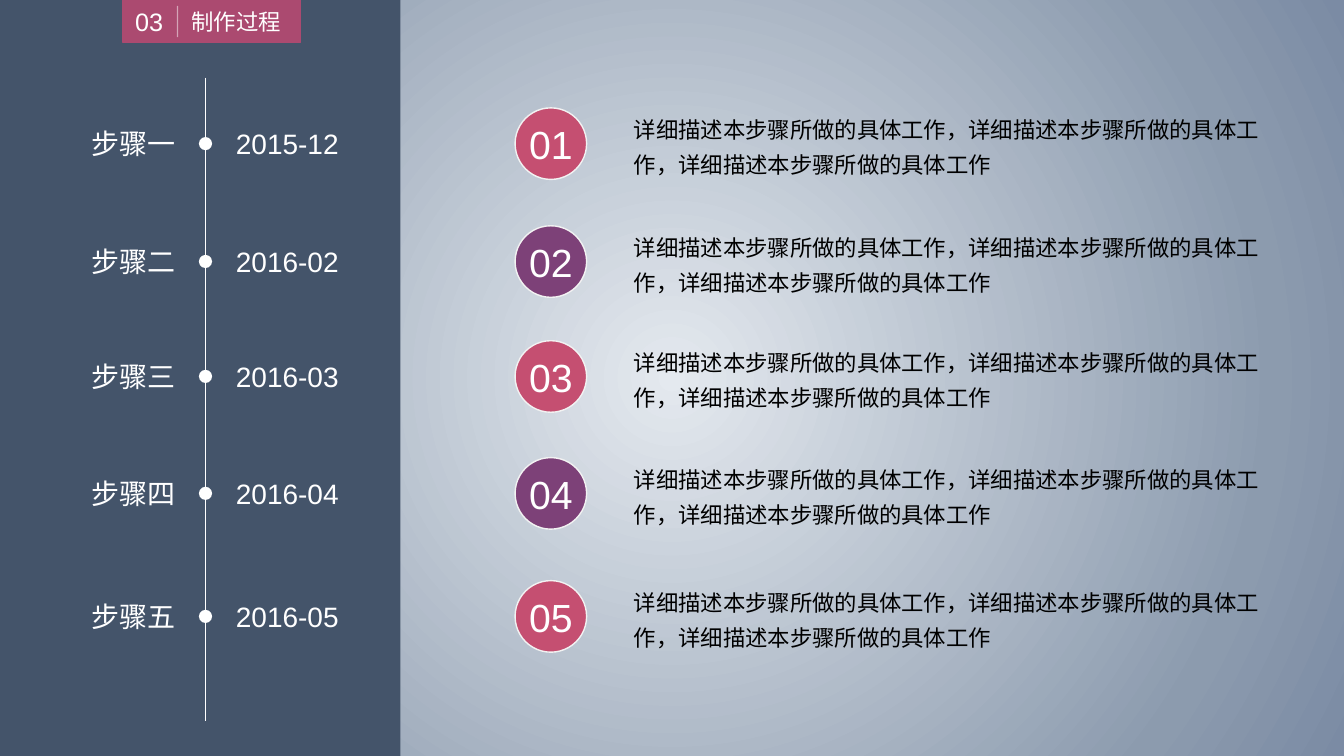
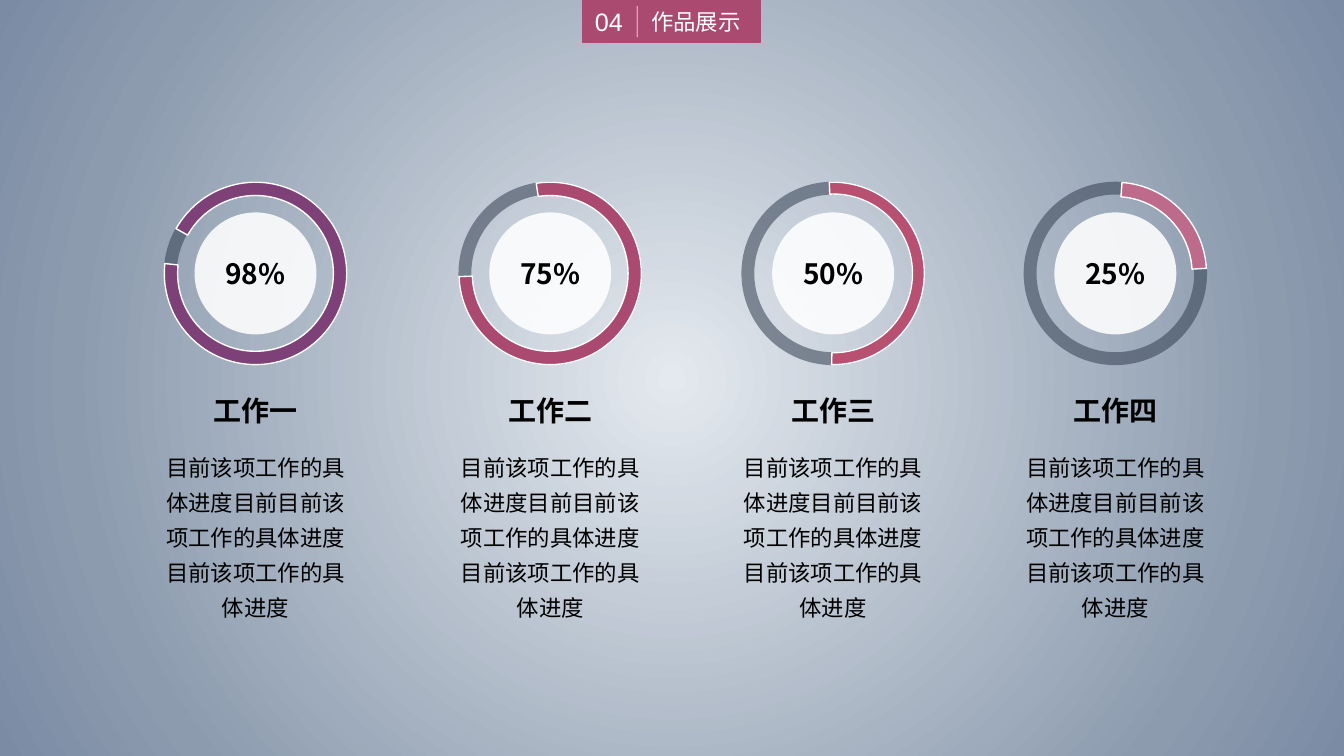
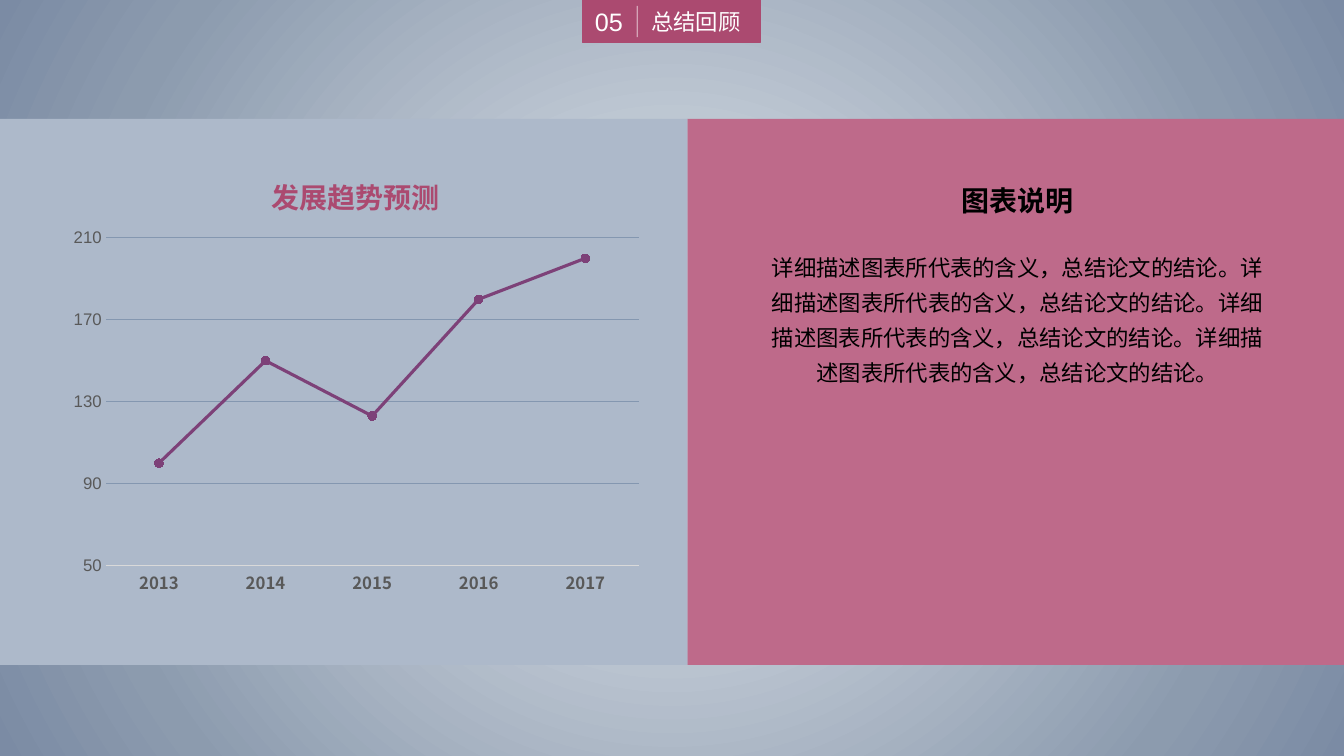
from lxml.etree import SubElement
from pptx import Presentation
from pptx.chart.data import CategoryChartData
from pptx.dml.color import RGBColor
from pptx.enum.chart import XL_CHART_TYPE, XL_MARKER_STYLE, XL_TICK_MARK
from pptx.enum.shapes import MSO_CONNECTOR, MSO_SHAPE
from pptx.enum.text import MSO_ANCHOR, PP_ALIGN
from pptx.oxml import parse_xml
from pptx.oxml.ns import nsdecls, qn
from pptx.shapes.connector import Connector
from pptx.util import Pt

WHITE = RGBColor(0xFF, 0xFF, 0xFF)
OFF_WHITE = RGBColor(0xF2, 0xF2, 0xF2)
BLACK = RGBColor(0x00, 0x00, 0x00)
SLATE = RGBColor(0x44, 0x54, 0x6A)
NAVY = RGBColor(0x33, 0x3F, 0x50)
PALE_BLUE = RGBColor(0xAD, 0xB9, 0xCA)
GRID_BLUE = RGBColor(0x84, 0x97, 0xB0)
AXIS_LINE = RGBColor(0xD9, 0xD9, 0xD9)
AXIS_TEXT = RGBColor(0x59, 0x59, 0x59)
BERRY = RGBColor(0xAB, 0x4A, 0x70)
ROSE = RGBColor(0xC5, 0x4F, 0x71)
DEEP_ROSE = RGBColor(0xB8, 0x51, 0x71)
PINK = RGBColor(0xBE, 0x6A, 0x8A)
PURPLE = RGBColor(0x7D, 0x41, 0x78)
LATIN_FONT = "Arial"
CJK_FONT = "Noto Sans CJK SC"
LEFT, CENTER, RIGHT = PP_ALIGN.LEFT, PP_ALIGN.CENTER, PP_ALIGN.RIGHT


def write(sp, text, size, color=BLACK, align=CENTER, bold=False, font=LATIN_FONT, body=False):
    """Put one run into a shape; body text wraps and has wider lines."""
    sp.text_frame.word_wrap = body
    p = sp.text_frame.paragraphs[0]
    p.alignment = align
    if body:
        p.line_spacing = 1.3
    r = p.add_run()
    r.text = text
    r.font.size = Pt(size)
    r.font.bold = bold
    r.font.name = font
    r.font.color.rgb = color
    SubElement(r._r.get_or_add_rPr(), qn("a:ea")).set("typeface", CJK_FONT)


def add_shape(s, kind, x, y, w, h, fill, line=None, alpha=None):
    """Add a flat preset shape; alpha is the opacity in percent."""
    sp = s.shapes.add_shape(kind, Pt(x), Pt(y), Pt(w), Pt(h))
    sp.shadow.inherit = False
    sp.fill.solid()
    sp.fill.fore_color.rgb = fill
    if alpha:
        color = sp._element.spPr.find(qn("a:solidFill"))[0]
        SubElement(color, qn("a:alpha")).set("val", str(alpha * 1000))
    if line is None:
        sp.line.fill.background()
    else:
        sp.line.color.rgb = line
        sp.line.width = Pt(1)
    return sp


prs = Presentation()
prs.slide_width, prs.slide_height = Pt(960), Pt(540)

# Radial background, shared through the master
master = prs.slide_master
master.background.fill.gradient()
old_fill = master._element.find(".//" + qn("a:gradFill"))
old_fill.getparent().replace(old_fill, parse_xml(
    f'<a:gradFill {nsdecls("a")} rotWithShape="1"><a:gsLst>'
    '<a:gs pos="0"><a:srgbClr val="E4E9EF"/></a:gs>'
    '<a:gs pos="78000"><a:srgbClr val="8C9BAE"/></a:gs>'
    '<a:gs pos="100000"><a:srgbClr val="7B8BA4"/></a:gs></a:gsLst>'
    '<a:path path="circle"><a:fillToRect l="50000" t="50000" r="50000" b="50000"/></a:path>'
    '</a:gradFill>'))

# Panels and section tab of every slide
SECTIONS = [
    ("03", "制作过程", 87.8, [(0, 0, 286, 540, SLATE)]),
    ("04", "作品展示", 416.2, []),
    ("05", "总结回顾", 416.2, [(491, 85, 469, 390, PINK), (0, 85, 491, 390, PALE_BLUE)]),
]
for number, heading, tab_x, panels in SECTIONS:
    s = prs.slides.add_slide(prs.slide_layouts[5])
    for panel in panels:
        add_shape(s, MSO_SHAPE.RECTANGLE, *panel)

    title = s.shapes.title
    title.left, title.top, title.width, title.height = Pt(tab_x), Pt(0), Pt(126.8), Pt(30.5)
    title.fill.solid()
    title.fill.fore_color.rgb = BERRY
    title.line.color.rgb = BERRY
    title.line.width = Pt(1)
    write(title, heading, 16, WHITE, LEFT)
    tf = title.text_frame
    tf.word_wrap = True
    tf.vertical_anchor = MSO_ANCHOR.MIDDLE
    tf.margin_left = Pt(49)
    s.shapes._spTree.append(title._element)  # in front of the panels

    sp = s.shapes.add_textbox(Pt(tab_x), Pt(0.7), Pt(37.4), Pt(29))
    sp.text_frame.vertical_anchor = MSO_ANCHOR.MIDDLE
    write(sp, number, 18, WHITE)
    divider_x = Pt(tab_x + 39)
    divider = s.shapes.add_connector(MSO_CONNECTOR.STRAIGHT, divider_x, Pt(4.3), divider_x, Pt(26.6))
    divider.line.color.rgb = WHITE
    divider.line.width = Pt(1)
    line_color = divider._element.spPr.find(".//" + qn("a:srgbClr"))
    SubElement(line_color, qn("a:alpha")).set("val", "49000")

process, showcase, summary = prs.slides

# Process: timeline with five steps
s = process
AXIS_X = 146.8
axis = s.shapes.add_connector(MSO_CONNECTOR.STRAIGHT, Pt(AXIS_X), Pt(55.4), Pt(AXIS_X), Pt(514.8))
axis.line.color.rgb = WHITE
axis.line.width = Pt(1)

STEPS = [
    ("步骤一", "2015-12", 102.6),
    ("步骤二", "2016-02", 186.8),
    ("步骤三", "2016-03", 268.9),
    ("步骤四", "2016-04", 352.4),
    ("步骤五", "2016-05", 440.3),
]
step_text = "，".join(["详细描述本步骤所做的具体工作"] * 3)
DOT, BADGE = 9.4, 51.1
for i, (step, date, y) in enumerate(STEPS):
    add_shape(s, MSO_SHAPE.OVAL, AXIS_X - DOT / 2, y - DOT / 2, DOT, DOT, WHITE)
    for label, x, w in [(step, 57.6, 74.9), (date, 154.8, 94.3)]:
        sp = s.shapes.add_textbox(Pt(x), Pt(y - 15.6), Pt(w), Pt(31.5))
        write(sp, label, 20, WHITE, RIGHT)
    badge = add_shape(s, MSO_SHAPE.OVAL, 367.9, y - BADGE / 2, BADGE, BADGE,
                      PURPLE if i % 2 else ROSE, OFF_WHITE)
    write(badge, f"{i + 1:02}", 28, WHITE)
    sp = s.shapes.add_textbox(Pt(445.7), Pt(y - 28.6), Pt(475.9), Pt(57.6))
    write(sp, step_text, 16, align=LEFT, body=True)

# Showcase: four progress rings; arcs run clockwise between angles in degrees
s = showcase
JOBS = [
    ("工作一", "98%", 182.5, 209.4, 186.2, 0.073, PURPLE),
    ("工作二", "75%", 393, 261.2, 178, 0.073, BERRY),
    ("工作三", "50%", 595.1, 267.6, 90.9, 0.065, DEEP_ROSE),
    ("工作四", "25%", 796.7, 274.2, 356.8, 0.079, PINK),
]
job_text = "目前该项工作的具体进度目前目前该项工作的具体进度目前该项工作的具体进度"
RING_Y, DISC, RING, ARC = 195.3, 87.1, 131, 130.3
for job, percent, x, start, end, thickness, color in JOBS:
    disc = add_shape(s, MSO_SHAPE.OVAL, x - DISC / 2, RING_Y - DISC / 2, DISC, DISC, WHITE, alpha=88)
    write(disc, percent, 20, bold=True, font=CJK_FONT)
    ring = add_shape(s, MSO_SHAPE.DONUT, x - RING / 2, RING_Y - RING / 2, RING, RING, NAVY, alpha=55)
    ring.adjustments[0] = 0.07
    arc = add_shape(s, MSO_SHAPE.BLOCK_ARC, x - ARC / 2, RING_Y - ARC / 2, ARC, ARC, color, WHITE)
    arc.adjustments[0] = start * 0.6
    arc.adjustments[1] = end * 0.6
    arc.adjustments[2] = thickness
    sp = s.shapes.add_textbox(Pt(x - 37.5), Pt(277.2), Pt(75), Pt(31.5))
    write(sp, job, 20, bold=True)
    sp = s.shapes.add_textbox(Pt(x - 77), Pt(315.4), Pt(154), Pt(133))
    write(sp, job_text, 16, body=True)

# Summary: trend chart and explanation
s = summary
data = CategoryChartData()
data.categories = ["2013", "2014", "2015", "2016", "2017"]
data.add_series("Series 1", [100, 150, 123, 180, 200])
chart = s.shapes.add_chart(XL_CHART_TYPE.LINE_MARKERS, Pt(43.9), Pt(150.5), Pt(421.2), Pt(280.8), data).chart
chart.has_title = False
chart.has_legend = False
chart.font.size = Pt(10)
chart.font.name = LATIN_FONT
chart.font.color.rgb = BLACK

plot = chart.plots[0]
plot.vary_by_categories = False
trend = plot.series[0]
trend.smooth = False
trend.format.line.color.rgb = PURPLE
trend.format.line.width = Pt(2.25)
trend.marker.style = XL_MARKER_STYLE.CIRCLE
trend.marker.size = 6
trend.marker.format.fill.solid()
trend.marker.format.fill.fore_color.rgb = BERRY
trend.marker.format.line.color.rgb = PURPLE

years, values = chart.category_axis, chart.value_axis
for chart_axis, font in [(years, CJK_FONT), (values, LATIN_FONT)]:
    chart_axis.major_tick_mark = XL_TICK_MARK.NONE
    chart_axis.minor_tick_mark = XL_TICK_MARK.NONE
    chart_axis.tick_labels.font.size = Pt(12)
    chart_axis.tick_labels.font.name = font
    chart_axis.tick_labels.font.color.rgb = AXIS_TEXT
years.tick_labels.font.bold = True
years.format.line.color.rgb = AXIS_LINE
years.format.line.width = Pt(0.75)
values.format.line.fill.background()
values.minimum_scale, values.maximum_scale, values.major_unit = 50, 220, 40
values.major_gridlines.format.line.color.rgb = GRID_BLUE
values.major_gridlines.format.line.width = Pt(0.75)

plot_area = chart._chartSpace.chart.plotArea
for old_layout in plot_area.findall(qn("c:layout")):
    plot_area.remove(old_layout)
plot_area.insert(0, parse_xml(
    f'<c:layout {nsdecls("c")}><c:manualLayout><c:layoutTarget val="inner"/>'
    '<c:xMode val="edge"/><c:yMode val="edge"/>'
    '<c:x val="0.075"/><c:y val="0.017"/><c:w val="0.904"/><c:h val="0.886"/>'
    '</c:manualLayout></c:layout>'))

sp = s.shapes.add_textbox(Pt(186.5), Pt(125.3), Pt(135.4), Pt(31.5))
write(sp, "发展趋势预测", 20, BERRY, LEFT, bold=True)
sp = s.shapes.add_textbox(Pt(679), Pt(127.4), Pt(95), Pt(31.5))
write(sp, "图表说明", 20, bold=True)
sp = s.shapes.add_textbox(Pt(543.6), Pt(172.1), Pt(366.5), Pt(108))
write(sp, "详细描述图表所代表的含义，总结论文的结论。" * 4, 16, body=True)

# Connectors carry a theme shadow until an empty effect list is set
for s in prs.slides:
    for sp in s.shapes:
        if isinstance(sp, Connector):
            SubElement(sp._element.spPr, qn("a:effectLst"))

prs.save("out.pptx")
